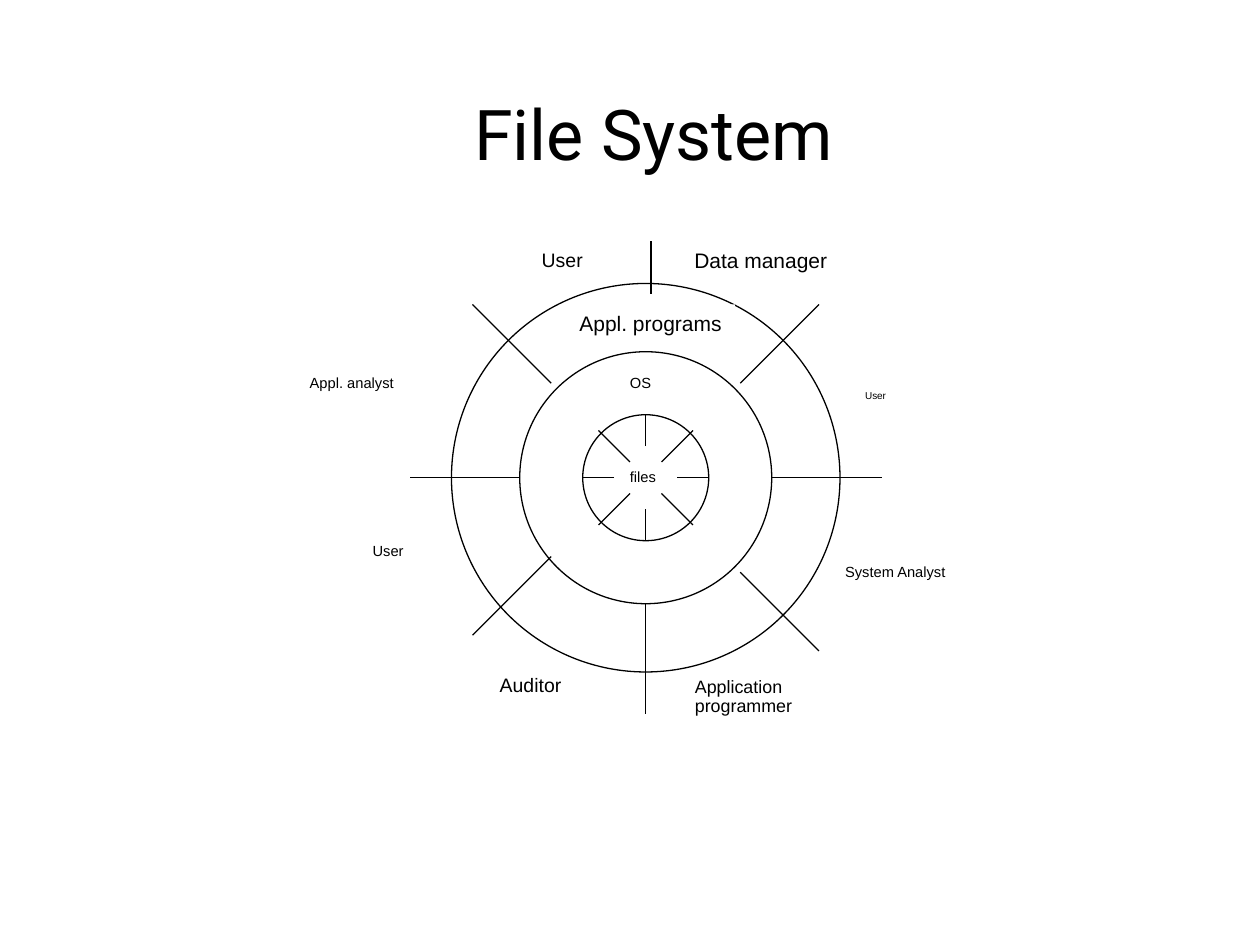
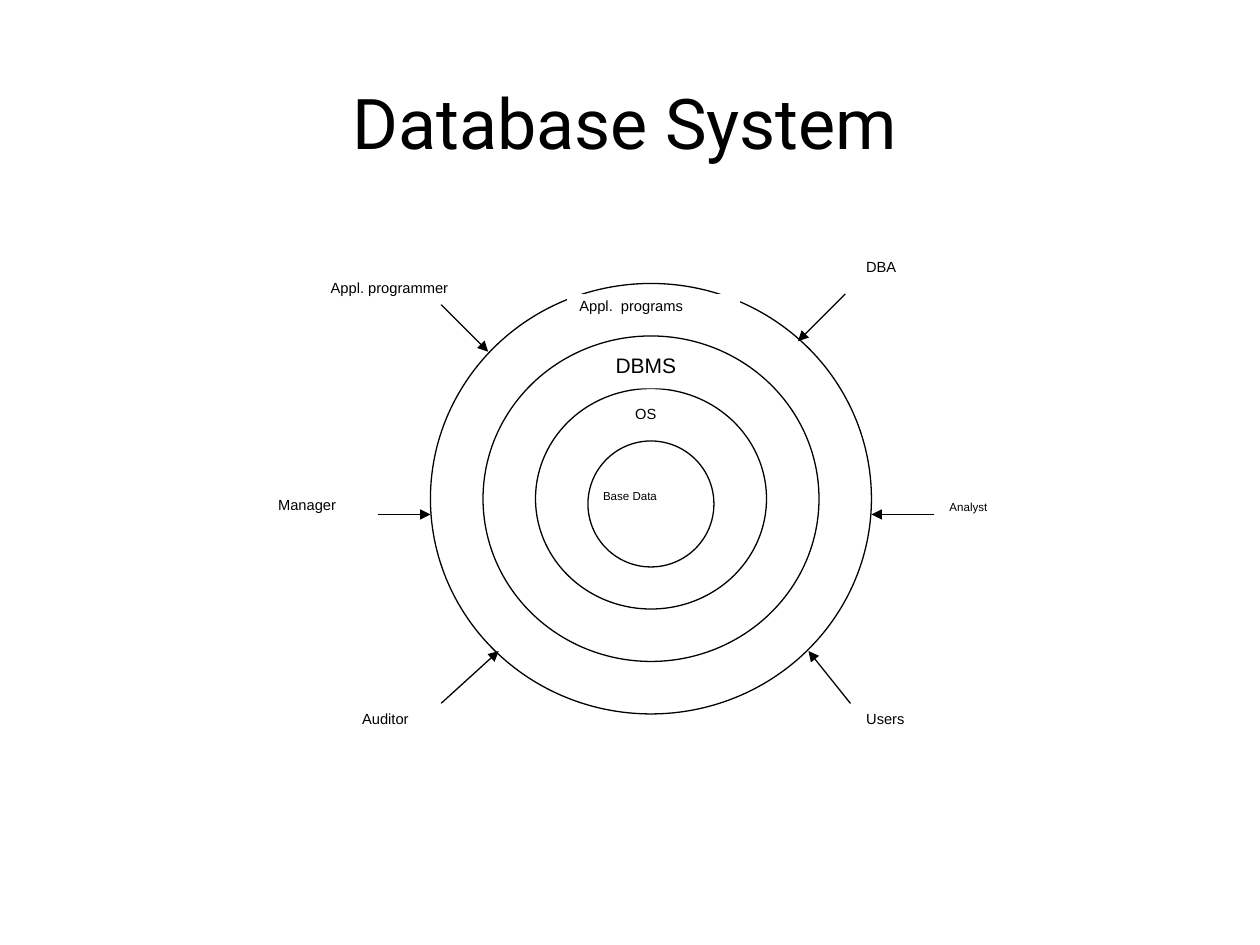
from dataclasses import dataclass
from itertools import product

import pptx
import pptx.dml.color
import pptx.enum.shapes
import pptx.enum.text
import pptx.oxml
import pptx.oxml.ns
import pptx.util

INK = "000000"
PAPER = "FFFFFF"
TITLE_FONT = "Roboto"
LABEL_FONT = "Arial"
COLUMNS = 240
SLIDE_WIDTH, SLIDE_HEIGHT = 10, 7.5
TITLE_SIZE, TITLE_ROWS = 40, 18.5
LINE_WIDTH = 0.75
INSET = pptx.util.Inches(0.1)
LEAD_SHARE = 0.21  # extra left inset of a label, as a share of its text size


@dataclass
class Ring:
    column: float
    row: float
    width: float
    height: float
    hollow: bool = False


@dataclass
class Label:
    text: str
    column: float
    row: float
    width: float
    height: float = 6
    size: float = 8.4
    lead: bool = True
    spacing: float = 1.0


@dataclass
class Line:
    start: tuple[float, float]
    end: tuple[float, float]
    arrow: bool = False


@dataclass
class Diagram:
    title: str
    title_column: float
    title_row: float
    title_width: float
    rings: list[Ring]
    inner_labels: list[Label]
    lines: list[Line]
    outer_labels: list[Label]
    title_indent: float = 0


def grid(cells: float) -> int:
    return pptx.util.Inches(cells * SLIDE_WIDTH / COLUMNS)


def color(value: str) -> pptx.dml.color.RGBColor:
    return pptx.dml.color.RGBColor.from_string(value)


def spokes(center: tuple[float, float], inner: float, outer: float,
           directions: list[tuple[int, int]]) -> list[Line]:
    """Lines from inner to outer offset along each direction."""
    x, y = center
    return [Line((x + dx * inner, y + dy * inner), (x + dx * outer, y + dy * outer))
            for dx, dy in directions]


def write(box, text: str, size: float, font: str, alignment, spacing: float = 1.0) -> None:
    box.text_frame.word_wrap = True
    box.text_frame.vertical_anchor = pptx.enum.text.MSO_ANCHOR.TOP
    para = box.text_frame.paragraphs[0]
    para.alignment = alignment
    if spacing != 1.0:
        para.line_spacing = spacing
    span = para.add_run()
    span.text = text
    span.font.size = pptx.util.Pt(size)
    span.font.name = font
    span.font.color.rgb = color(INK)


def draw_title(page, diagram: Diagram) -> None:
    box = page.shapes.add_textbox(grid(diagram.title_column), grid(diagram.title_row),
                                  grid(diagram.title_width), grid(TITLE_ROWS))
    box.text_frame.margin_left = INSET + grid(diagram.title_indent)
    write(box, diagram.title, TITLE_SIZE, TITLE_FONT, pptx.enum.text.PP_ALIGN.CENTER)


def add_preset(page, kind, item: Ring | Label):
    shape = page.shapes.add_shape(kind, grid(item.column), grid(item.row),
                                  grid(item.width), grid(item.height))
    shape.shadow.inherit = False
    shape.fill.solid()
    shape.fill.fore_color.rgb = color(PAPER)
    return shape


def draw_ring(page, ring: Ring) -> None:
    shape = add_preset(page, pptx.enum.shapes.MSO_SHAPE.OVAL, ring)
    if ring.hollow:
        shape.fill.background()
    shape.line.color.rgb = color(INK)
    shape.line.width = pptx.util.Pt(LINE_WIDTH)


def draw_label(page, label: Label) -> None:
    shape = add_preset(page, pptx.enum.shapes.MSO_SHAPE.RECTANGLE, label)
    shape.line.fill.background()
    if label.lead:
        shape.text_frame.margin_left = INSET + pptx.util.Pt(LEAD_SHARE * label.size)
    write(shape, label.text, label.size, LABEL_FONT,
          pptx.enum.text.PP_ALIGN.JUSTIFY, label.spacing)


def draw_line(page, line: Line) -> None:
    connector = page.shapes.add_connector(
        pptx.enum.shapes.MSO_CONNECTOR.STRAIGHT,
        *(grid(value) for value in (*line.start, *line.end)))
    connector.line.color.rgb = color(INK)
    connector.line.width = pptx.util.Pt(LINE_WIDTH)
    if line.arrow:
        tip = pptx.oxml.parse_xml(
            f'<a:tailEnd {pptx.oxml.ns.nsdecls("a")} type="triangle"/>')
        connector.line._get_or_add_ln().append(tip)
    connector._element.spPr.append(
        pptx.oxml.parse_xml(f'<a:effectLst {pptx.oxml.ns.nsdecls("a")}/>'))


def draw_diagram(deck, diagram: Diagram) -> None:
    page = deck.slides.add_slide(deck.slide_layouts[6])
    for ring in diagram.rings:
        if not ring.hollow:
            draw_ring(page, ring)
    for label in diagram.inner_labels:
        draw_label(page, label)
    for ring in diagram.rings:
        if ring.hollow:
            draw_ring(page, ring)
    for line in diagram.lines:
        draw_line(page, line)
    for label in diagram.outer_labels:
        draw_label(page, label)
    draw_title(page, diagram)


def file_system() -> Diagram:
    center = x, y = 123, 91
    core, system, programs = 12, 24, 37
    axes = [(0, -1), (0, 1), (1, 0), (-1, 0)]
    diagonals = list(product((-1, 1), repeat=2))
    return Diagram(
        "File System", 48, 16, 140, title_indent=13,
        rings=[Ring(x - radius, y - radius, 2 * radius, 2 * radius, radius == core)
               for radius in (programs, system, core)],
        inner_labels=[Label("files", 117, 88, 15), Label("OS", 117, 70, 12)],
        lines=[
            *spokes(center, 6, core, axes),
            *spokes(center, 3, 9, diagonals),
            *spokes(center, system, 45, axes[1:]),
            *spokes(center, 18, 33, [way for way in diagonals if way != (-1, 1)]),
            Line((124, 56), (124, 46)),
            Line((105, 106), (90, 121)),
        ],
        outer_labels=[
            Label("Appl. programs", 108, 58, 32, 8, 12, lead=False),
            Label("Application programmer", 130, 128, 30, 11, 10.2, False, 0.9),
            Label("System Analyst", 158, 106, 36),
            Label("User", 162, 73, 18, 5, 5.7),
            Label("Data manager", 129, 46, 33, 8, 12),
            Label("Auditor", 92, 127, 22, 7, 11.1),
            Label("User", 68, 102, 15),
            Label("Appl. analyst", 56, 70, 32),
            Label("User", 100, 46, 15, 7, 11.1),
        ])


def database_system() -> Diagram:
    step = 10
    programs, dbms, system = (
        Ring(82 + step * level, 54 + step * level,
             84 - 2 * step * level, 82 - 2 * step * level, hollow=level == 1)
        for level in range(3))
    arrows = [((84, 58), (93, 67)), ((178, 98), (166, 98)), ((84, 134), (95, 124)),
              ((70, 98), (82, 98)), ((161, 56), (152, 65)), ((162, 134), (154, 124))]
    return Diagram(
        "Database System", 32, 14, 174,
        rings=[programs, dbms, system, Ring(112, 84, 24, 24, hollow=True)],
        inner_labels=[Label("Base Data", 112, 92, 28, 5.5, 6.6), Label("OS", 118, 76, 12)],
        lines=[Line(start, end, arrow=True) for start, end in arrows],
        outer_labels=[
            Label("DBA", 162, 48, 15),
            Label("Appl.  programs", 108, 56, 33, lead=False, spacing=0.8),
            Label("DBMS", 114, 66, 20, 8, 12),
            Label("Analyst", 178, 94, 23, 5.5, 6.6),
            Label("Users", 162, 134, 18),
            Label("Appl. programmer", 60, 52, 40),
            Label("Auditor", 66, 134, 22),
            Label("Manager", 50, 94, 22, spacing=0.8),
        ])


def main() -> None:
    deck = pptx.Presentation()
    deck.slide_width = pptx.util.Inches(SLIDE_WIDTH)
    deck.slide_height = pptx.util.Inches(SLIDE_HEIGHT)
    for diagram in (file_system(), database_system()):
        draw_diagram(deck, diagram)
    deck.save("out.pptx")


if __name__ == "__main__":
    main()
